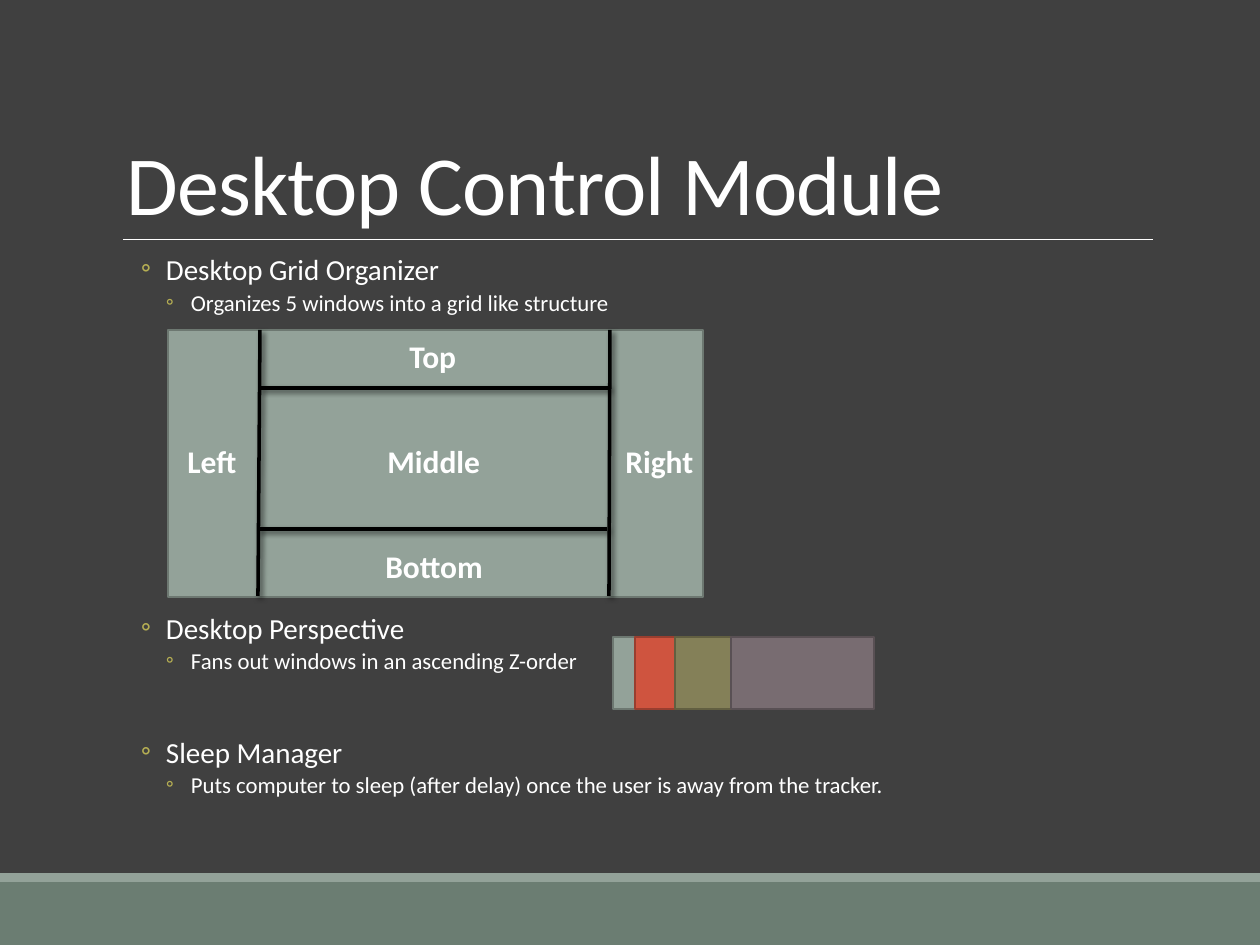
"""Build the desktop control slide with its grid diagram and fanned windows."""
import pptx
import pptx.dml.color
import pptx.enum.shapes
import pptx.enum.text
import pptx.oxml
import pptx.oxml.ns
import pptx.util
from dataclasses import dataclass

SCALE = 914400 / 126
RECTANGLE = pptx.enum.shapes.MSO_SHAPE.RECTANGLE
STRAIGHT = pptx.enum.shapes.MSO_CONNECTOR.STRAIGHT
ANCHOR = pptx.enum.text.MSO_ANCHOR
ALIGN = pptx.enum.text.PP_ALIGN
rgb = pptx.dml.color.RGBColor.from_string
points = pptx.util.Pt


@dataclass(frozen=True)
class Theme:
    font: str = "Calibri"
    background: str = "404040"
    text: str = "FFFFFF"
    bullet: str = "B5AE53"
    footer: str = "6B7D72"
    sage: str = "93A299"
    sage_edge: str = "6D7871"
    red: str = "CF543F"
    red_edge: str = "993E2F"
    olive: str = "848058"
    olive_edge: str = "625F41"
    mauve: str = "786C71"
    mauve_edge: str = "595054"
    divider: str = "000000"
    title_size: float = 48
    topic_size: float = 16.6
    detail_size: float = 13
    label_size: float = 18


theme = Theme()


def emu(*lengths):
    return [round(length * SCALE) for length in lengths]


def draw(shapes, frame, fill=None, edge=None, width=1.25, shadow=""):
    """Add a filled rectangle, or a line when there is no fill."""
    if fill:
        item = shapes.add_shape(RECTANGLE, *emu(*frame))
        item.shadow.inherit = False
        item.fill.solid()
        item.fill.fore_color.rgb = rgb(fill)
    else:
        item = shapes.add_connector(STRAIGHT, *emu(*frame))
    if edge:
        item.line.color.rgb = rgb(edge)
        item.line.width = points(width)
    else:
        item.line.fill.background()
    if not fill:
        namespace = pptx.oxml.ns.nsdecls("a")
        effects = f"<a:effectLst {namespace}>{shadow}</a:effectLst>"
        item._element.spPr.append(pptx.oxml.parse_xml(effects))


deck = pptx.Presentation()
deck.slide_width, deck.slide_height = emu(1260, 945)
page = deck.slides.add_slide(deck.slide_layouts[5])
page.background.fill.solid()
page.background.fill.fore_color.rgb = rgb(theme.background)

draw(page.shapes, (0, 882, 1260, 63), theme.footer)
draw(page.shapes, (0, 873, 1260, 9), theme.sage)
draw(page.shapes, (123, 239, 1153, 239), edge=theme.text, width=0.5)

title = page.shapes.title
title.left, title.top, title.width, title.height = emu(114, 39, 1040, 200)
title.text_frame.vertical_anchor = ANCHOR.BOTTOM
para = title.text_frame.paragraphs[0]
para.alignment = ALIGN.LEFT
para.line_spacing = 0.85
span = para.add_run()
span.text = "Desktop Control Module"
span.font._element.set("spc", "-50")
title_format = {"name": theme.font, "size": points(theme.title_size), "bold": False}
for name, value in title_format.items():
    setattr(span.font, name, value)
span.font.color.rgb = rgb(theme.text)

topics = [
    ("Desktop Grid Organizer", "Organizes 5 windows into a grid like structure", 0),
    ("Desktop Perspective", "Fans out windows in an ascending Z-order", 170),
    ("Sleep Manager",
     "Puts computer to sleep (after delay) once the user is away from the tracker.", 36),
]
body = page.shapes.add_textbox(*emu(113, 255, 1040, 554)).text_frame
for name, value in {"word_wrap": True, "margin_left": 0, "margin_right": 0}.items():
    setattr(body, name, value)
para = None
for topic, detail, gap in topics:
    for level, (words, size, before) in enumerate(
            [(topic, theme.topic_size, gap), (detail, theme.detail_size, 2)]):
        para = body.add_paragraph() if para is not None else body.paragraphs[0]
        properties = para._p.get_or_add_pPr()
        margin, hanging = emu(53 + 25 * level, -25)
        properties.set("marL", str(margin))
        properties.set("indent", str(hanging))
        for bullet in (f'<a:buClr {{}}><a:srgbClr val="{theme.bullet}"/></a:buClr>',
                       f'<a:buFont {{}} typeface="{theme.font}"/>',
                       '<a:buChar {} char="◦"/>'):
            properties.append(pptx.oxml.parse_xml(
                bullet.format(pptx.oxml.ns.nsdecls("a"))))
        para_format = {"level": level, "line_spacing": 0.7,
                       "space_before": points(before), "space_after": points(4)}
        for name, value in para_format.items():
            setattr(para, name, value)
        span = para.add_run()
        span.text = words
        for name, value in {"name": theme.font, "size": points(size)}.items():
            setattr(span.font, name, value)
        span.font.color.rgb = rgb(theme.text)

grid = page.shapes.add_group_shape().shapes
draw(grid, (168, 330, 535, 267), theme.sage, theme.sage_edge)
soft_shadow = (
    '<a:outerShdw blurRad="38100" dist="25400" dir="2700000" rotWithShape="0">'
    f'<a:srgbClr val="{theme.divider}"><a:alpha val="60000"/></a:srgbClr></a:outerShdw>')
dividers = [(610, 330, 609, 596), (260, 330, 258, 596),
            (260, 388, 609, 388), (258, 529, 607, 529)]
for ends in dividers:
    draw(grid, ends, edge=theme.divider, width=2, shadow=soft_shadow)

labels = [("Top", 397, 331, 72), ("Bottom", 373, 541, 125), ("Middle", 375, 436, 118),
          ("Left", 175, 436, 76), ("Right", 613, 436, 93)]
for words, left, top, width in labels:
    box = grid.add_textbox(*emu(left, top, width, 50))
    box.text_frame.word_wrap = False
    span = box.text_frame.paragraphs[0].add_run()
    span.text = words
    label_format = {"name": theme.font, "size": points(theme.label_size), "bold": True}
    for name, value in label_format.items():
        setattr(span.font, name, value)
    span.font.color.rgb = rgb(theme.text)

fanned_windows = [(613, theme.sage, theme.sage_edge), (635, theme.red, theme.red_edge),
                  (675, theme.olive, theme.olive_edge),
                  (731, theme.mauve, theme.mauve_edge)]
for left, fill, edge in fanned_windows:
    draw(page.shapes, (left, 637, 143, 72), fill, edge)

deck.save("out.pptx")
